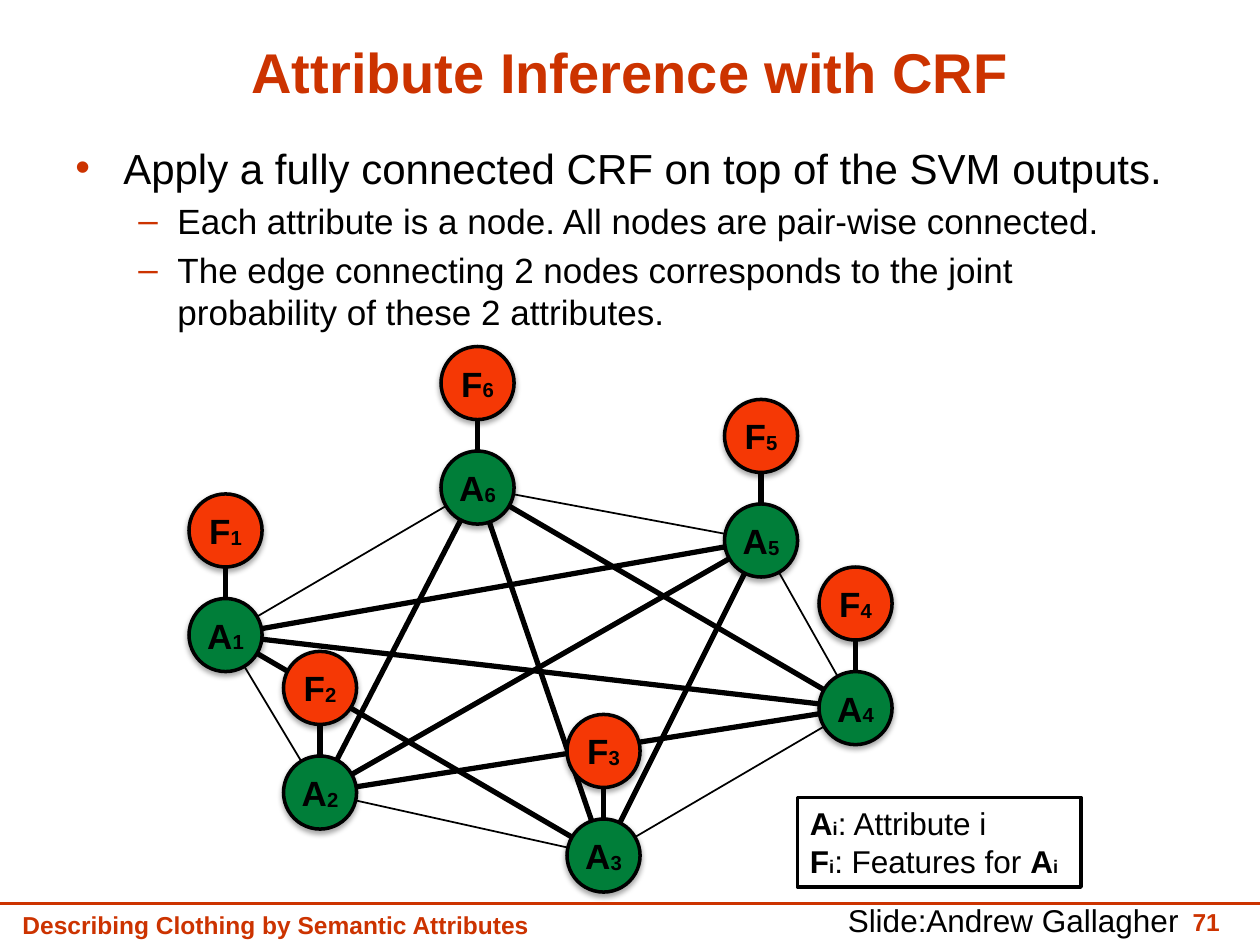
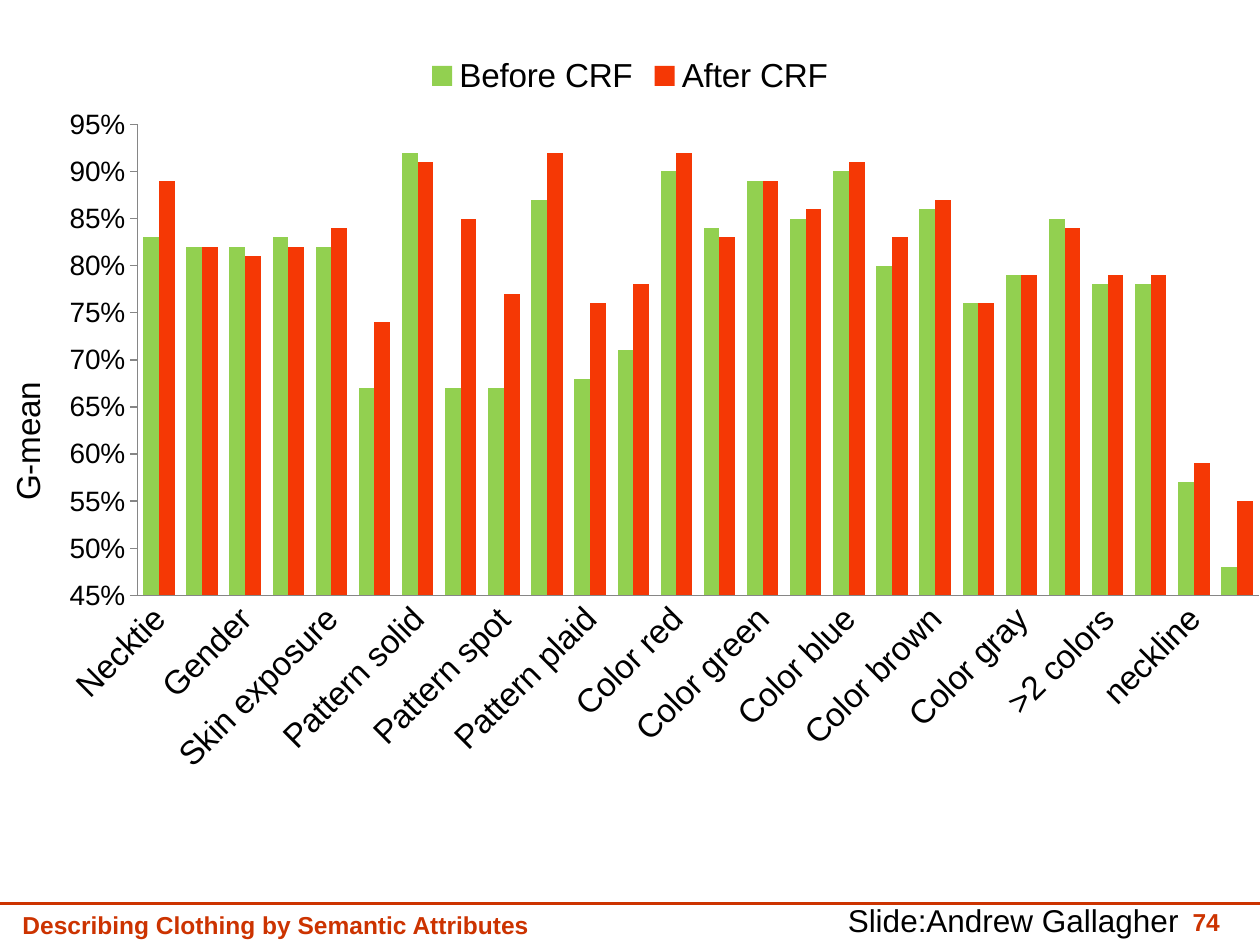
from itertools import combinations

from lxml import etree
from pptx import Presentation
from pptx.chart.data import CategoryChartData
from pptx.dml.color import RGBColor
from pptx.enum.chart import XL_CHART_TYPE, XL_LEGEND_POSITION, XL_TICK_MARK
from pptx.enum.shapes import MSO_CONNECTOR, MSO_SHAPE
from pptx.enum.text import MSO_ANCHOR, PP_ALIGN
from pptx.oxml import parse_xml
from pptx.oxml.ns import nsdecls, qn
from pptx.util import Inches, Pt

# Shared look
FONT = "Arial"
RUST = RGBColor(0xCC, 0x33, 0x00)
BLACK = RGBColor(0, 0, 0)
WHITE = RGBColor(0xFF, 0xFF, 0xFF)
GREEN = RGBColor(0x00, 0x7E, 0x39)
ORANGE = RGBColor(0xF5, 0x38, 0x05)
LIME = RGBColor(0x92, 0xD0, 0x50)
GRAY = RGBColor(0x86, 0x86, 0x86)

# Attribute nodes, in ring order: left and top inside the graph
NODES = {1: (0, 2), 2: (0.75, 3.25), 3: (3, 3.75),
         4: (5, 2.58), 5: (4.25, 1.25), 6: (2, 0.83)}
NODE_SIZE = 0.58
FEATURE_RISE = 0.83

# Category, before CRF, after CRF
RESULTS = [
    ("Necktie", 0.83, 0.89), ("Collar", 0.82, 0.82), ("Gender", 0.82, 0.81),
    ("Placket presence", 0.83, 0.82), ("Skin exposure", 0.82, 0.84),
    ("Scarf", 0.67, 0.74), ("Pattern solid", 0.92, 0.91),
    ("Pattern floral", 0.67, 0.85), ("Pattern spot", 0.67, 0.77),
    ("Pattern graphics", 0.87, 0.92), ("Pattern plaid", 0.68, 0.76),
    ("Pattern stripe", 0.71, 0.78), ("Color red", 0.9, 0.92),
    ("Color yellow", 0.84, 0.83), ("Color green", 0.89, 0.89),
    ("Color cyan", 0.85, 0.86), ("Color blue", 0.9, 0.91),
    ("Color purple", 0.8, 0.83), ("Color brown", 0.86, 0.87),
    ("Color white", 0.76, 0.76), ("Color gray", 0.79, 0.79),
    ("Color black", 0.85, 0.84), (">2 colors", 0.78, 0.79),
    ("sleevelength", 0.78, 0.79), ("neckline", 0.57, 0.59),
    ("category", 0.48, 0.55),
]


def style(font, size, color=BLACK, bold=False):
    font.name, font.size, font.bold = FONT, Pt(size), bold
    font.color.rgb = color


def write(paragraph, text, size=18, color=BLACK, bold=False, lowered=False, align=None):
    run = paragraph.add_run()
    run.text = text
    style(run.font, size, color, bold)
    if lowered:
        run._r.get_or_add_rPr().set("baseline", "-2000")
    if align is not None:
        paragraph.alignment = align


def write_symbol(paragraph, letter, index, size=18):
    write(paragraph, letter, size=size, bold=True)
    write(paragraph, index, size=size, bold=True, lowered=True)


def add_box(slide, left, top, width, height, wrap=True):
    box = slide.shapes.add_textbox(Inches(left), Inches(top), Inches(width), Inches(height))
    box.text_frame.word_wrap = wrap
    return box.text_frame


def add_line(slide, start, end, color=BLACK, weight=3):
    line = slide.shapes.add_connector(
        MSO_CONNECTOR.STRAIGHT, *(Inches(value) for value in (*start, *end)))
    line.line.color.rgb, line.line.width = color, Pt(weight)
    etree.SubElement(line._element.spPr, qn("a:effectLst"))


def add_outlined(slide, kind, left, top, width, height, fill):
    shape = slide.shapes.add_shape(
        kind, Inches(left), Inches(top), Inches(width), Inches(height))
    shape.shadow.inherit = False
    shape.fill.solid()
    shape.fill.fore_color.rgb = fill
    shape.line.color.rgb, shape.line.width = BLACK, Pt(2)
    return shape


def add_footer(slide, number):
    number_text = add_box(slide, 9.07, 7.15, 0.71, 0.33).paragraphs[0]
    write(number_text, number, size=14, color=RUST, bold=True, align=PP_ALIGN.RIGHT)
    talk = add_box(slide, 0.08, 7.17, 6.5, 0.33).paragraphs[0]
    write(talk, "Describing Clothing by Semantic Attributes", size=14, color=RUST, bold=True)
    add_line(slide, (0, 7.17), (10, 7.17), color=RUST, weight=1.5)
    credit = add_box(slide, 6.63, 7.1, 2.85, 0.4, wrap=False).paragraphs[0]
    write(credit, "Slide:Andrew Gallagher")


def add_title(slide, text):
    title = slide.shapes.title
    title.left, title.top, title.width, title.height = 0, 0, Inches(10), Inches(0.88)
    title.text_frame.vertical_anchor = MSO_ANCHOR.BOTTOM
    write(title.text_frame.paragraphs[0], text, size=32, color=RUST, bold=True,
          align=PP_ALIGN.CENTER)


def add_bullets(slide, left, top, width, height, items):
    frame = add_box(slide, left, top, width, height)
    looks = [("•", 0.38, 0.38, 24), ("–", 0.81, 0.31, 20)]
    for position, (level, text) in enumerate(items):
        paragraph = frame.add_paragraph() if position else frame.paragraphs[0]
        mark, margin, hang, size = looks[level]
        paragraph.level = level
        if position:
            paragraph.space_before = Pt(size * 0.2)
        properties = paragraph._p.get_or_add_pPr()
        properties.set("marL", str(Inches(margin)))
        properties.set("indent", str(-Inches(hang)))
        color = etree.SubElement(properties, qn("a:buClr"))
        etree.SubElement(color, qn("a:srgbClr"), val=str(RUST))
        etree.SubElement(properties, qn("a:buFont"), typeface=FONT)
        etree.SubElement(properties, qn("a:buChar"), char=mark)
        write(paragraph, text, size=size)


def add_node(slide, left, top, letter, index, fill):
    node = add_outlined(slide, MSO_SHAPE.OVAL, left, top, NODE_SIZE, NODE_SIZE, fill)
    effects = node._element.spPr.find(qn("a:effectLst"))
    effects.append(parse_xml(
        f'<a:outerShdw {nsdecls("a")} blurRad="{Pt(3.1)}" dist="{Pt(1.8)}" dir="5400000" '
        'rotWithShape="0"><a:srgbClr val="000000"><a:alpha val="35000"/></a:srgbClr>'
        '</a:outerShdw>'))
    frame = node.text_frame
    frame.margin_left = frame.margin_right = 0
    frame.vertical_anchor = MSO_ANCHOR.MIDDLE
    frame.paragraphs[0].alignment = PP_ALIGN.CENTER
    write_symbol(frame.paragraphs[0], letter, str(index), size=20)


def add_crf_graph(slide, left, top):
    half = NODE_SIZE / 2
    places = {index: (left + x, top + y) for index, (x, y) in NODES.items()}
    centers = {index: (x + half, y + half) for index, (x, y) in places.items()}
    # Every pair is joined; neighbours on the ring get a thin edge
    for first, second in combinations(NODES, 2):
        on_ring = second - first in (1, len(NODES) - 1)
        add_line(slide, centers[first], centers[second], weight=1 if on_ring else 3)
    for index, (x, y) in places.items():
        middle = x + half
        add_line(slide, (middle, y - FEATURE_RISE + NODE_SIZE), (middle, y))
        add_node(slide, x, y, "A", index, GREEN)
        add_node(slide, x, y - FEATURE_RISE, "F", index, ORANGE)


def add_key(slide, left, top, width, height):
    frame = add_outlined(slide, MSO_SHAPE.RECTANGLE, left, top, width, height, WHITE).text_frame
    frame.vertical_anchor = MSO_ANCHOR.TOP
    attribute, feature = frame.paragraphs[0], frame.add_paragraph()
    attribute.alignment = feature.alignment = PP_ALIGN.LEFT
    write_symbol(attribute, "A", "i")
    write(attribute, ": Attribute i")
    write_symbol(feature, "F", "i")
    write(feature, ": Features for ")
    write_symbol(feature, "A", "i")


def add_results_chart(slide, left, top, width, height):
    categories, before, after = zip(*RESULTS)
    data = CategoryChartData(number_format="0%")
    data.categories = categories
    data.add_series("Before CRF", before)
    data.add_series("After CRF", after)
    chart = slide.shapes.add_chart(
        XL_CHART_TYPE.COLUMN_CLUSTERED, Inches(left), Inches(top),
        Inches(width), Inches(height), data).chart
    style(chart.font, 19)
    chart.has_title = False
    chart.has_legend = True
    chart.legend.position = XL_LEGEND_POSITION.TOP
    chart.legend.include_in_layout = False

    # Columns
    plot = chart.plots[0]
    plot.gap_width, plot.overlap, plot.vary_by_categories = 75, 0, False
    for series, color in zip(plot.series, (LIME, ORANGE)):
        series.format.fill.solid()
        series.format.fill.fore_color.rgb = color

    # Axes
    names, rates = chart.category_axis, chart.value_axis
    for axis in (names, rates):
        axis.format.line.color.rgb = GRAY
        axis.has_major_gridlines = False
    names.major_tick_mark = XL_TICK_MARK.NONE
    style(names.tick_labels.font, 19)
    names._element.find(qn("c:txPr")).find(qn("a:bodyPr")).set("rot", "-2700000")
    rates.major_tick_mark = XL_TICK_MARK.OUTSIDE
    rates.minimum_scale, rates.maximum_scale, rates.major_unit = 0.45, 0.95, 0.05
    rates.tick_labels.number_format = "0%"
    rates.tick_labels.number_format_is_linked = False
    style(rates.tick_labels.font, 16)
    write(rates.axis_title.text_frame.paragraphs[0], "G-mean", size=19)

    # Inner plot area, as fractions of the chart
    area = chart._chartSpace.chart.plotArea
    for unused in area.findall(qn("c:layout")):
        area.remove(unused)
    layout = etree.Element(qn("c:layout"))
    manual = etree.SubElement(layout, qn("c:manualLayout"))
    for tag, value in (("layoutTarget", "inner"), ("xMode", "edge"), ("yMode", "edge"),
                       ("x", "0.109"), ("y", "0.094"), ("w", "0.89"), ("h", "0.534")):
        etree.SubElement(manual, qn(f"c:{tag}"), val=value)
    area.insert(0, layout)


def build_inference_slide(deck):
    slide = deck.slides.add_slide(deck.slide_layouts[5])
    add_footer(slide, "71")
    add_title(slide, "Attribute Inference with CRF")
    add_bullets(slide, 0.5, 1.08, 8.88, 1.65, [
        (0, "Apply a fully connected CRF on top of the SVM outputs."),
        (1, "Each attribute is a node. All nodes are pair-wise connected."),
        (1, "The edge connecting 2 nodes corresponds to the joint probability "
            "of these 2 attributes."),
    ])
    add_key(slide, 6.33, 6.33, 2.25, 0.71)
    add_crf_graph(slide, 1.5, 2.75)


def build_results_slide(deck):
    slide = deck.slides.add_slide(deck.slide_layouts[6])
    add_results_chart(slide, 0, 0.33, 10, 7)
    add_footer(slide, "74")


def main():
    deck = Presentation()
    deck.slide_width, deck.slide_height = Inches(10), Inches(7.5)
    build_inference_slide(deck)
    build_results_slide(deck)
    deck.save("out.pptx")


if __name__ == "__main__":
    main()
